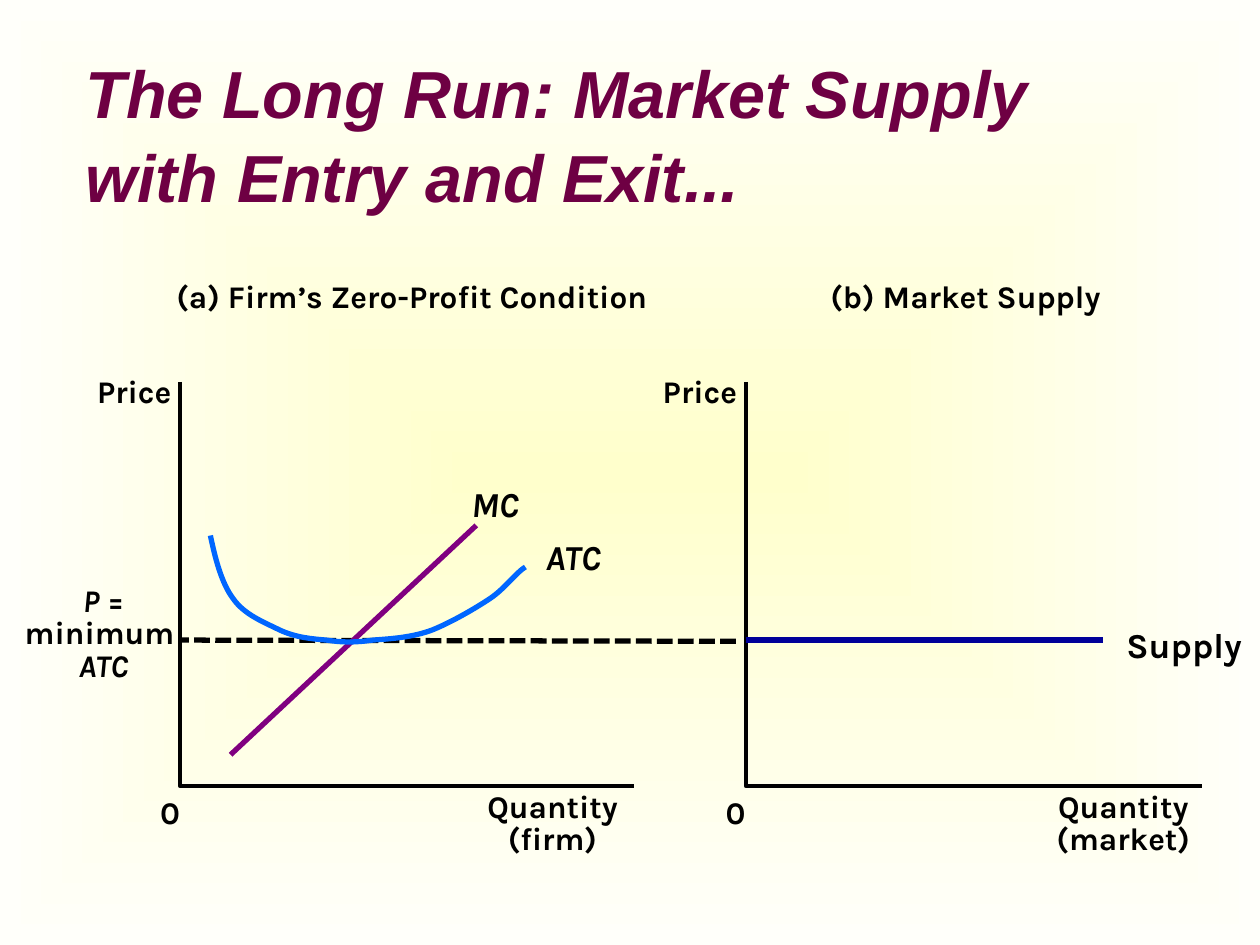
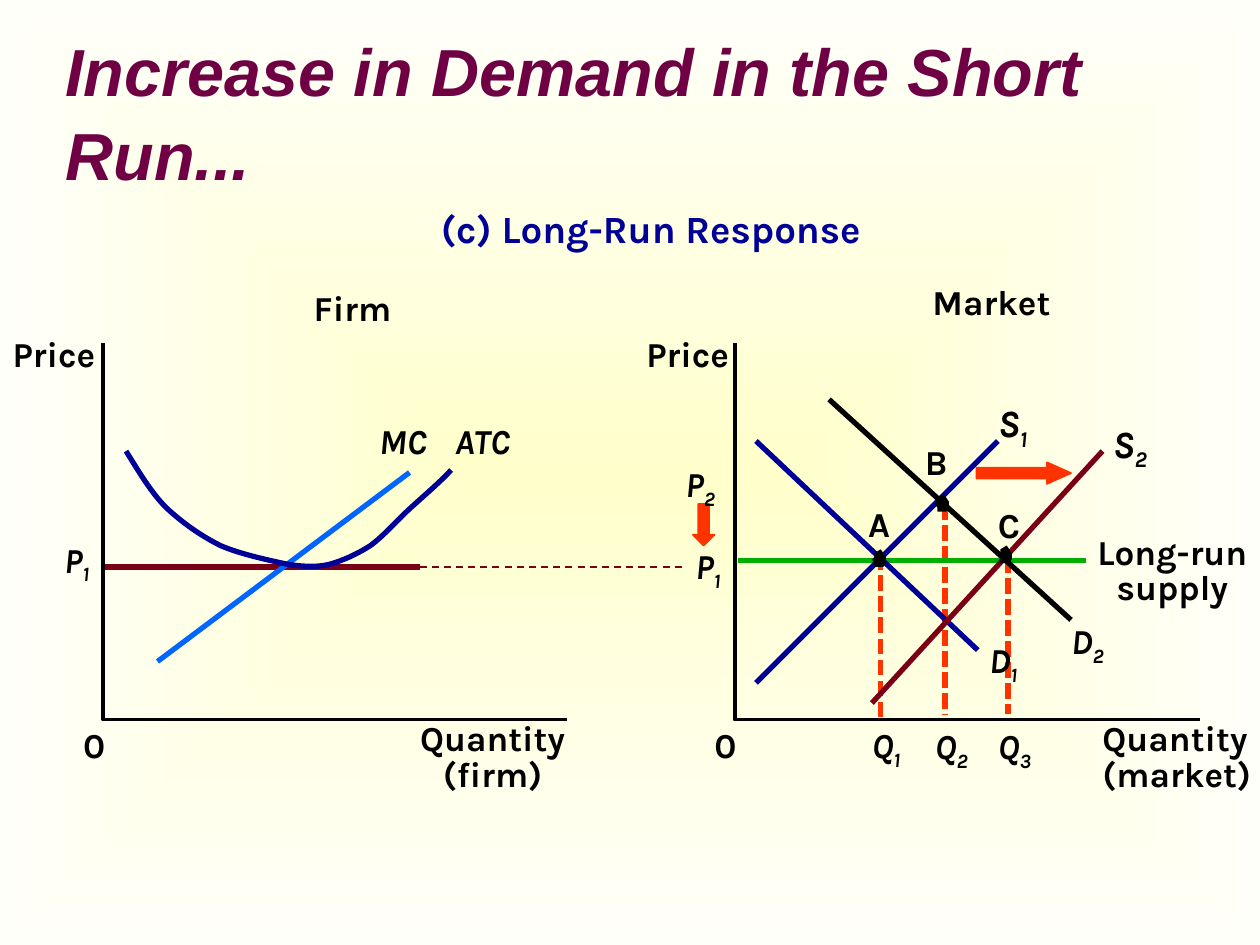
from dataclasses import dataclass
from typing import NamedTuple

from lxml.etree import SubElement
from pptx import Presentation
from pptx.dml.color import RGBColor
from pptx.enum.dml import MSO_LINE as Dash
from pptx.enum.shapes import MSO_CONNECTOR as Connector, MSO_SHAPE as Preset
from pptx.enum.text import MSO_ANCHOR as Anchor, MSO_AUTO_SIZE as AutoSize, PP_ALIGN as Align
from pptx.oxml.ns import qn
from pptx.util import Inches, Pt

Point = tuple[float, float]


@dataclass(frozen=True)
class Theme:
    title_font: str = "Arial"
    text_font: str = "Karla"
    title_size: float = 38
    small: float = 18
    medium: float = 20
    large: float = 22
    axis_line: float = 2.25
    curve_line: float = 3
    thin_line: float = 1
    ink: str = "000000"
    plum: str = "6E0043"
    purple: str = "800080"
    navy: str = "000099"
    azure: str = "0066FF"
    maroon: str = "790015"
    green: str = "00AE00"
    orange: str = "FF3300"
    glow: str = "FFFFCC"
    paper: str = "FFFFFA"


THEME = Theme()


class Label(NamedTuple):
    """Text with *italic* parts; an underscore starts a subscript."""
    text: str
    left: float
    top: float
    width: float
    height: float = 0.33
    size: float = THEME.medium
    color: str = THEME.ink
    align: Align = Align.LEFT
    wrap: bool = False
    inset: Point = (0, 0)
    space_before: float = 0


class Panel(NamedTuple):
    left: float
    right: float
    price_left: float
    unit: str
    quantity_left: float
    quantity_align: Align = Align.CENTER


class Frame(NamedTuple):
    """What the two panels of a slide have in common."""
    top: float
    bottom: float
    size: float
    gap: float
    price_width: float
    quantity_width: float
    quantity_height: float


class Stroke(NamedTuple):
    start: Point
    end: Point
    color: str
    dash: Dash | None = None
    width: float = THEME.curve_line


class Curve(NamedTuple):
    """Start, then two controls and an end for each Bézier segment."""
    points: list[Point]
    color: str


class Arrow(NamedTuple):
    preset: Preset
    left: float
    top: float
    width: float
    height: float
    head: float


class Scene(NamedTuple):
    title: str
    title_at: Point
    frame: Frame
    panels: list[Panel]
    strokes: list[Stroke]
    curves: list[Curve]
    labels: list[Label]
    dots: list[Point] = []
    arrows: list[Arrow] = []


DOT_OUTLINE = [(0.07, 0.14), (0.09, 0.14), (0.11, 0.11), (0.11, 0.08), (0.11, 0.06), (0.09, 0.03),
               (0.07, 0), (0.02, 0.03), (0.02, 0.06), (0, 0.08), (0.02, 0.11), (0.02, 0.14)]

ZERO_PROFIT = Scene(
    title="The Long Run: Market Supply with Entry and Exit...",
    title_at=(0.58, 0.42),
    frame=Frame(3.03, 6.24, THEME.small, 0.05, 0.62, 1.11, 0.51),
    panels=[Panel(1.43, 5.03, 0.77, "firm", 3.83), Panel(5.92, 9.54, 5.26, "market", 8.36)],
    strokes=[
        Stroke((5.84, 5.09), (1.42, 5.08), THEME.ink, Dash.SQUARE_DOT),
        Stroke((1.83, 5.99), (3.78, 4.17), THEME.purple),
        Stroke((5.92, 5.08), (8.75, 5.08), THEME.navy),
    ],
    curves=[Curve([
        (1.67, 4.25), (1.71, 4.44), (1.76, 4.63), (1.85, 4.75), (1.94, 4.88), (2.1, 4.94), (2.22, 5),
        (2.35, 5.06), (2.47, 5.07), (2.59, 5.08), (2.72, 5.1), (2.82, 5.1), (2.96, 5.08),
        (3.1, 5.07), (3.27, 5.06), (3.43, 5), (3.58, 4.94), (3.77, 4.83), (3.89, 4.75),
        (4.01, 4.67), (4.1, 4.54), (4.17, 4.5)], THEME.azure)],
    labels=[
        Label("(a) Firm’s Zero-Profit Condition", 1.4, 2.2, 3.83, 0.3, THEME.small),
        Label("(b) Market Supply", 6.59, 2.2, 2.21, 0.3, THEME.small),
        Label(" *P* =\nminimum\n *ATC*", 0.18, 4.66, 1.22, 0.77, THEME.small, align=Align.CENTER),
        Label("Supply", 8.94, 4.95, 0.93),
        Label("*MC*", 3.74, 3.83, 0.51, wrap=True),
        Label("*ATC*", 4.33, 4.25, 0.72, wrap=True),
    ],
)

LONG_RUN = Scene(
    title="Increase in Demand in the Short Run...",
    title_at=(0.42, 0.25),
    frame=Frame(2.72, 5.71, THEME.medium, 0.03, 0.69, 1.24, 0.57),
    panels=[Panel(0.82, 4.5, 0.1, "firm", 3.29),
            Panel(5.83, 9.52, 5.13, "market", 8.75, Align.LEFT)],
    strokes=[
        Stroke((8, 4.42), (8, 5.67), THEME.orange, Dash.SQUARE_DOT),
        Stroke((7.5, 4), (7.5, 5.67), THEME.orange, Dash.SQUARE_DOT),
        Stroke((8.62, 4.45), (5.86, 4.45), THEME.green),
        Stroke((6.99, 4.4), (6.99, 5.71), THEME.orange, Dash.SQUARE_DOT),
        Stroke((7.76, 5.16), (6, 3.5), THEME.navy),
        Stroke((6, 5.42), (7.92, 3.5), THEME.navy),
        Stroke((0.83, 4.5), (3.33, 4.5), THEME.maroon),
        Stroke((3.33, 4.5), (5.42, 4.5), THEME.maroon, Dash.DASH, THEME.thin_line),
        Stroke((1.25, 5.25), (3.25, 3.75), THEME.azure),
        Stroke((6.58, 3.17), (8.5, 4.92), THEME.ink),
        Stroke((6.92, 5.58), (8.75, 3.58), THEME.maroon),
    ],
    curves=[Curve([
        (1, 3.58), (1.1, 3.74), (1.2, 3.91), (1.32, 4.03), (1.45, 4.15), (1.59, 4.25), (1.75, 4.33),
        (1.91, 4.4), (2.15, 4.45), (2.29, 4.48), (2.44, 4.5), (2.51, 4.5), (2.61, 4.48),
        (2.72, 4.45), (2.83, 4.4), (2.94, 4.33), (3.05, 4.25), (3.15, 4.13), (3.26, 4.03),
        (3.37, 3.93), (3.51, 3.81), (3.58, 3.73)], THEME.navy)],
    labels=[
        Label("(c) Long-Run Response", 3.08, 1.58, 4.17, 0.47, THEME.large, THEME.navy,
              Align.CENTER, True, (0.1, 0.05), 13.8),
        Label("Firm", 2.49, 2.27, 0.64),
        Label("Market", 7.4, 2.23, 1.02),
        Label("*MC*", 3.01, 3.33, 0.42),
        Label("*ATC*", 3.61, 3.33, 0.49),
        Label("*P_1*", 0.51, 4.27, 0.26, 0.38),
        Label("*P_1*", 5.52, 4.32, 0.26, 0.38),
        Label("*P_2*", 5.44, 3.67, 0.26, 0.38),
        Label("*Q_1*", 6.92, 5.74, 0.29, 0.38),
        Label("*Q_2*", 7.42, 5.75, 0.42, 0.38, wrap=True),
        Label("*Q_3*", 7.92, 5.75, 0.42, 0.38, wrap=True),
        Label("*D_1*", 7.85, 5.07, 0.28, 0.38),
        Label("*D_2*", 8.5, 4.92, 0.58, 0.38, wrap=True),
        Label("*S_1*", 7.92, 3.17, 0.33, 0.42, THEME.large, wrap=True),
        Label("*S_2*", 8.83, 3.33, 0.33, 0.42, THEME.large, wrap=True),
        Label("A", 6.89, 3.99, 0.19),
        Label("B", 7.34, 3.5, 0.19),
        Label("C", 7.92, 4, 0.18),
        Label("Long-run\nsupply", 8.67, 4.26, 1.27, 0.57, align=Align.CENTER),
    ],
    dots=[(6.92, 4.36), (7.42, 3.92), (7.92, 4.33)],
    arrows=[Arrow(Preset.RIGHT_ARROW, 7.75, 3.67, 0.75, 0.17, 1.12),
            Arrow(Preset.DOWN_ARROW, 5.5, 4, 0.17, 0.33, 0.5)],
)


def rgb(color: str) -> RGBColor:
    return RGBColor.from_string(color)


def paint_background(master) -> None:
    """Give every slide a glow that fades from the centre outwards."""
    fill = master.background.fill
    fill.gradient()
    for stop, color, position in zip(fill.gradient_stops, (THEME.glow, THEME.paper), (0, 1)):
        stop.color.rgb = rgb(color)
        stop.position = position
    gradient = master.background._cSld.find(".//" + qn("a:gradFill"))
    gradient.remove(gradient.find(qn("a:lin")))
    shade = SubElement(gradient, qn("a:path"), {"path": "rect"})
    SubElement(shade, qn("a:fillToRect"), dict.fromkeys("ltrb", "50000"))


def add_span(para, text: str, *, font: str, size: float, color: str,
             italic: bool = False, subscript: bool = False) -> None:
    span = para.add_run()
    span.text = text
    span.font.name, span.font.size = font, Pt(size)
    span.font.bold, span.font.italic = True, italic
    span.font.color.rgb = rgb(color)
    if subscript:
        span._r.get_or_add_rPr().set("baseline", "-25000")


def set_title(page, text: str, left: float, top: float) -> None:
    box = page.shapes.title
    box.left, box.top, box.width, box.height = map(Inches, (left, top, 8.5, 1.25))
    frame = box.text_frame
    frame.auto_size, frame.vertical_anchor = AutoSize.NONE, Anchor.MIDDLE
    para = frame.paragraphs[0]
    para.alignment, para.line_spacing = Align.LEFT, 1.05
    add_span(para, text, font=THEME.title_font, size=THEME.title_size, color=THEME.plum, italic=True)


def add_label(page, label: Label) -> None:
    box = page.shapes.add_textbox(*map(Inches, label[1:5]))
    frame = box.text_frame
    frame.word_wrap, frame.auto_size = label.wrap, AutoSize.SHAPE_TO_FIT_TEXT
    frame.margin_left = frame.margin_right = Inches(label.inset[0])
    frame.margin_top = frame.margin_bottom = Inches(label.inset[1])
    lines = label.text.split("\n")
    for index, line in enumerate(lines):
        para = frame.add_paragraph() if index else frame.paragraphs[0]
        para.alignment = label.align
        if len(lines) > 1:
            para.line_spacing = 0.85
        if label.space_before:
            para.space_before = Pt(label.space_before)
        for part_index, part in enumerate(line.split("*")):
            base, _, lowered = part.partition("_")
            for text, subscript in ((base, False), (lowered, True)):
                if text:
                    add_span(para, text, font=THEME.text_font, size=label.size, color=label.color,
                             italic=part_index % 2 == 1, subscript=subscript)


def add_outline(page, points: list[Point], *, fill: str | None = None, line: str | None = None,
                width: float = THEME.curve_line):
    """Draw a closed area if it has a fill, else an open line."""
    start, *rest = [(Inches(x), Inches(y)) for x, y in points]
    builder = page.shapes.build_freeform(*start)
    builder.add_line_segments(rest, close=fill is not None)
    shape = builder.convert_to_shape()
    shape.shadow.inherit = False
    if fill:
        shape.fill.solid()
        shape.fill.fore_color.rgb = rgb(fill)
    else:
        shape.fill.background()
    if line:
        shape.line.color.rgb, shape.line.width = rgb(line), Pt(width)
    else:
        shape.line.fill.background()
    return shape


def add_curve(page, curve: Curve) -> None:
    shape = add_outline(page, curve.points, line=curve.color)
    steps = list(shape._element.iter(qn("a:lnTo")))
    for first in range(0, len(steps), 3):
        bezier = SubElement(steps[first].getparent(), qn("a:cubicBezTo"))
        for step in steps[first:first + 3]:
            bezier.append(step[0])
            step.getparent().remove(step)


def add_stroke(page, stroke: Stroke) -> None:
    line = page.shapes.add_connector(Connector.STRAIGHT, *map(Inches, stroke.start + stroke.end))
    line.line.color.rgb, line.line.width = rgb(stroke.color), Pt(stroke.width)
    if stroke.dash:
        line.line.dash_style = stroke.dash
    SubElement(line._element.spPr, qn("a:effectLst"))


def add_arrow(page, arrow: Arrow) -> None:
    shape = page.shapes.add_shape(arrow.preset, *map(Inches, arrow[1:5]))
    shape.adjustments[0], shape.adjustments[1] = 0.5, arrow.head
    shape.shadow.inherit = False
    shape.fill.solid()
    shape.fill.fore_color.rgb = shape.line.color.rgb = rgb(THEME.orange)
    shape.line.width = Pt(THEME.thin_line)


def add_panel(page, frame: Frame, panel: Panel) -> None:
    """Draw the axes with their names and the zero."""
    corners = [(panel.left, frame.top), (panel.left, frame.bottom), (panel.right, frame.bottom)]
    add_outline(page, corners, line=THEME.ink, width=THEME.axis_line)
    below, size = frame.bottom + frame.gap, frame.size
    add_label(page, Label("Price", panel.price_left, frame.top - 0.08, frame.price_width, size=size))
    add_label(page, Label("0", panel.left - 0.16, below, 0.15, size=size))
    add_label(page, Label(f"Quantity\n({panel.unit})", panel.quantity_left, below, frame.quantity_width,
                          frame.quantity_height, size, align=panel.quantity_align))


def add_scene(deck, scene: Scene) -> None:
    page = deck.slides.add_slide(deck.slide_layouts.get_by_name("Title Only"))
    set_title(page, scene.title, *scene.title_at)
    for panel in scene.panels:
        add_panel(page, scene.frame, panel)
    for draw, items in ((add_stroke, scene.strokes), (add_curve, scene.curves),
                        (add_arrow, scene.arrows), (add_label, scene.labels)):
        for item in items:
            draw(page, item)
    for left, top in scene.dots:
        add_outline(page, [(left + x, top + y) for x, y in DOT_OUTLINE], fill=THEME.ink)


def main() -> None:
    deck = Presentation()
    deck.slide_width, deck.slide_height = Inches(10), Inches(7.5)
    paint_background(deck.slide_master)
    for scene in (ZERO_PROFIT, LONG_RUN):
        add_scene(deck, scene)
    deck.save("out.pptx")


if __name__ == "__main__":
    main()
